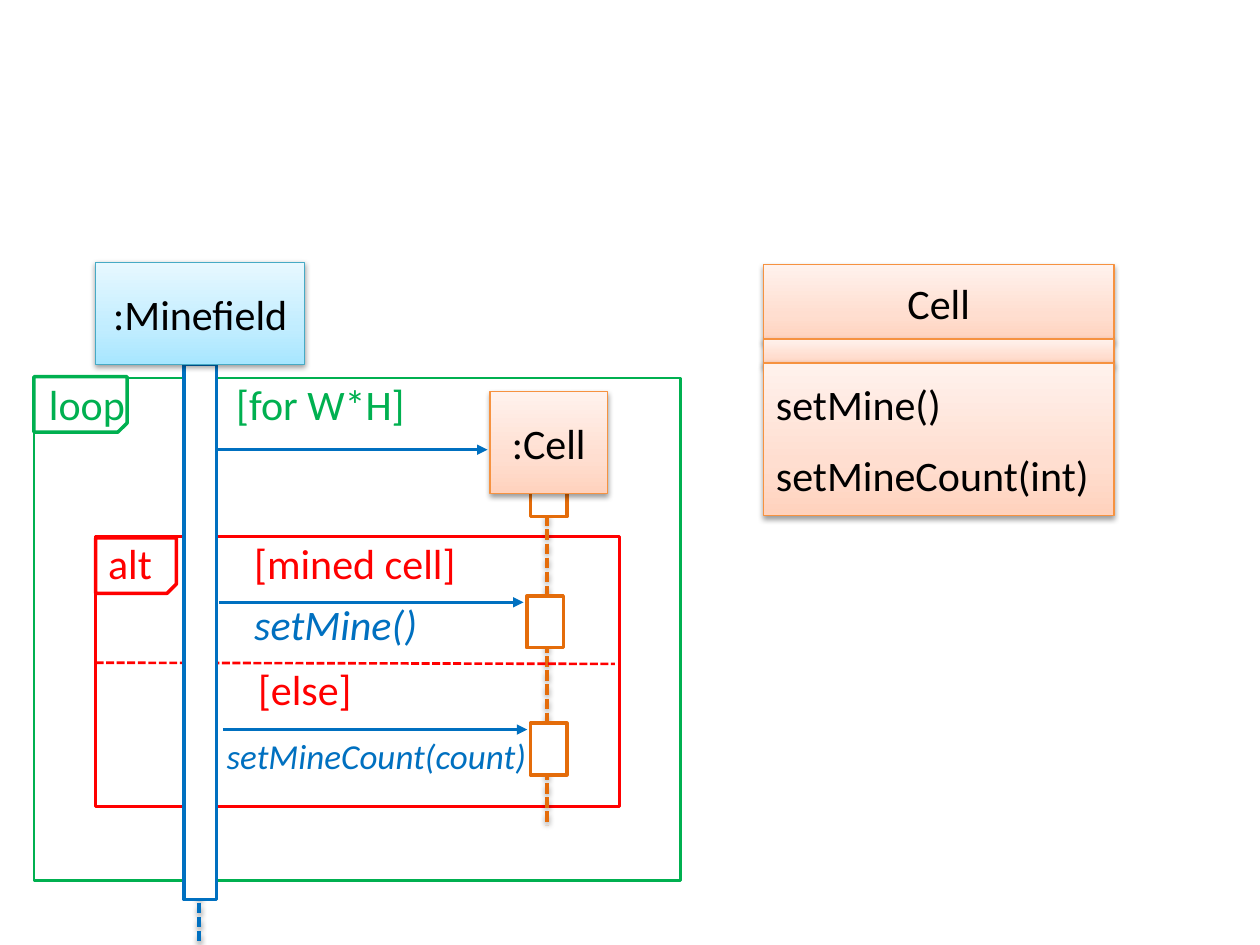
from dataclasses import dataclass

from lxml.etree import SubElement
from pptx import Presentation
from pptx.dml.color import RGBColor
from pptx.enum.dml import MSO_LINE
from pptx.enum.shapes import MSO_CONNECTOR, MSO_SHAPE
from pptx.enum.text import MSO_ANCHOR, PP_ALIGN
from pptx.oxml.ns import qn
from pptx.util import Pt


@dataclass(frozen=True)
class Theme:
    font: str = "Calibri"
    body: float = 24
    small: float = 20
    thin: float = 0.75
    medium: float = 1.5
    thick: float = 2
    black: str = "000000"
    white: str = "FFFFFF"
    green: str = "00B050"
    red: str = "FF0000"
    blue: str = "0070C0"
    orange: str = "E46C0A"
    orange_edge: str = "F69240"
    aqua_edge: str = "46AAC5"
    orange_blend: tuple = ((0, "FFD2BD"), (35, "FFDED0"), (100, "FFF2ED"))
    aqua_blend: tuple = ((0, "A7E6FF"), (35, "C1EDFF"), (100, "E7F8FF"))


def apply(target, **values):
    for name, value in values.items():
        setattr(target, name, value)


class DiagramPage:
    """Draws sequence and class diagram elements; all lengths are points."""

    def __init__(self, page, theme):
        self.page = page
        self.theme = theme

    def outline(self, line, color, width, dashed=False):
        line.color.rgb = RGBColor.from_string(color)
        line.width = Pt(width)
        if dashed:
            line.dash_style = MSO_LINE.SQUARE_DOT

    def effects(self, properties, shadow):
        """Call after the outline is set: the effect list must follow it."""
        effects = SubElement(properties, qn("a:effectLst"))
        if shadow:
            outer = SubElement(effects, qn("a:outerShdw"), blurRad=str(Pt(3.1)),
                               dist=str(Pt(1.6)), dir="5400000", rotWithShape="0")
            color = SubElement(outer, qn("a:srgbClr"), val=self.theme.black)
            SubElement(color, qn("a:alpha"), val="38000")

    def shape(self, area, edge, width, fill=None, kind=MSO_SHAPE.RECTANGLE, shadow=False):
        """Fill is a colour, a tuple of gradient stops, or None."""
        box = self.page.shapes.add_shape(kind, *map(Pt, area))
        properties = box.element.spPr
        if fill is None:
            box.fill.background()
        elif isinstance(fill, str):
            box.fill.solid()
            box.fill.fore_color.rgb = RGBColor.from_string(fill)
        else:
            box.fill.gradient()
            box.fill.gradient_angle = 90
            stops = properties.find(".//" + qn("a:gsLst"))
            stops.clear()
            for position, color in fill:
                stop = SubElement(stops, qn("a:gs"), pos=str(position * 1000))
                SubElement(stop, qn("a:srgbClr"), val=color)
        self.outline(box.line, edge, width)
        self.effects(properties, shadow)
        return box

    def set_text(self, box, lines, color, size=None, italic=False, align=PP_ALIGN.LEFT,
                 anchor=MSO_ANCHOR.MIDDLE, inset=3.6, tab=None):
        frame = box.text_frame
        apply(frame, word_wrap=True, vertical_anchor=anchor, margin_left=Pt(7.2),
              margin_right=Pt(7.2), margin_top=Pt(inset), margin_bottom=Pt(inset))
        for index, line in enumerate(lines):
            para = frame.add_paragraph() if index else frame.paragraphs[0]
            para.alignment = align
            if index:
                para.space_before = Pt(12)
            if tab:
                stops = SubElement(para._p.get_or_add_pPr(), qn("a:tabLst"))
                SubElement(stops, qn("a:tab"), pos=str(Pt(tab)), algn="l")
            span = para.add_run()
            span.text = line
            apply(span.font, name=self.theme.font, size=Pt(size or self.theme.body),
                  italic=italic)
            span.font.color.rgb = RGBColor.from_string(color)

    def label(self, area, text, color, **style):
        box = self.page.shapes.add_textbox(*map(Pt, area))
        self.set_text(box, [text], color, **style)

    def panel(self, area, edge, blend, lines=(), inset=7.2, **style):
        """Shaded box used for objects and class compartments."""
        box = self.shape(area, edge, self.theme.thin, blend, shadow=True)
        self.set_text(box, lines, self.theme.black, inset=inset, **style)

    def line(self, start, end, color, width, dashed=False, shadow=False, arrow=False):
        link = self.page.shapes.add_connector(MSO_CONNECTOR.STRAIGHT, *map(Pt, start + end))
        self.outline(link.line, color, width, dashed)
        properties = link.element.spPr
        if arrow:
            SubElement(properties.find(qn("a:ln")), qn("a:tailEnd"), type="triangle")
        self.effects(properties, shadow)

    def message(self, left, right, y):
        self.line((left, y), (right, y), self.theme.blue, self.theme.medium, arrow=True)

    def lifeline(self, x, top, bottom, color):
        self.line((x, top), (x, bottom), color, self.theme.thick, dashed=True, shadow=True)

    def activation(self, area, color):
        self.shape(area, color, self.theme.thick, self.theme.white)

    def tag(self, area, color):
        """Fragment tag with its lower right corner cut off."""
        box = self.shape(area, color, self.theme.thick, self.theme.white,
                         MSO_SHAPE.SNIP_1_RECTANGLE)
        box.element.spPr.find(qn("a:xfrm")).set("flipV", "1")


def draw_sequence(diagram):
    theme = diagram.theme
    diagram.shape((19.4, 216, 369.4, 287.3), theme.green, theme.medium)
    diagram.tag((19.4, 215.3, 53.3, 31.7), theme.green)
    diagram.label((20.9, 215.3, 352.8, 30.2), "loop\t[for W*H]", theme.green, tab=107)
    diagram.shape((54.7, 306.7, 299.5, 154.1), theme.red, theme.medium, theme.white)

    diagram.lifeline(312.5, 294.5, 471.6, theme.orange)
    diagram.message(123.1, 278.6, 257)
    diagram.activation((303.1, 276.5, 20.9, 18.7), theme.orange)
    diagram.panel((280.1, 223.9, 67, 58.3), theme.orange_edge, theme.orange_blend,
                  [":Cell"], inset=14.4, align=PP_ALIGN.CENTER)

    diagram.tag((54.7, 307.4, 46.1, 31.7), theme.red)
    diagram.label((54.7, 306.7, 293, 30.2), "alt\t[mined cell]", theme.red, tab=83.5)
    for message_left, bar_left, y in ((125.3, 301, 344.2), (127.4, 303.1, 416.9)):
        diagram.message(message_left, bar_left - 1.8, y)
        diagram.activation((bar_left, y - 3.6, 20.9, 29.5), theme.orange)
    diagram.line((54.7, 378.7), (351.4, 379.4), theme.red, theme.medium, dashed=True)
    diagram.label((138.2, 338.4, 144, 36), "setMine()", theme.blue, italic=True,
                  anchor=MSO_ANCHOR.TOP)
    diagram.label((122.4, 416.2, 187.9, 31.7), "setMineCount(count)", theme.blue,
                  size=theme.small, italic=True, anchor=MSO_ANCHOR.TOP)

    diagram.lifeline(113.8, 314.6, 540, theme.blue)
    diagram.activation((105.1, 208.1, 18.7, 306), theme.blue)
    diagram.panel((54.7, 149.8, 119.5, 58.3), theme.aqua_edge, theme.aqua_blend,
                  [":Minefield"], inset=14.4, align=PP_ALIGN.CENTER)
    diagram.label((140.4, 378.7, 76.3, 30.2), "[else]", theme.red)


def draw_class(diagram):
    theme = diagram.theme
    compartments = (
        (151.2, 43.9, ["Cell"], PP_ALIGN.CENTER),
        (193.7, 15.1, [], PP_ALIGN.LEFT),
        (207.4, 87.1, ["setMine()", "setMineCount(int)"], PP_ALIGN.LEFT),
    )
    for top, height, lines, align in compartments:
        diagram.panel((436.3, top, 200.2, height), theme.orange_edge, theme.orange_blend,
                      lines, align=align)


def main():
    deck = Presentation()
    apply(deck, slide_width=Pt(720), slide_height=Pt(540))
    page = deck.slides.add_slide(deck.slide_layouts[6])
    diagram = DiagramPage(page, Theme())
    draw_sequence(diagram)
    draw_class(diagram)
    deck.save("out.pptx")


if __name__ == "__main__":
    main()
